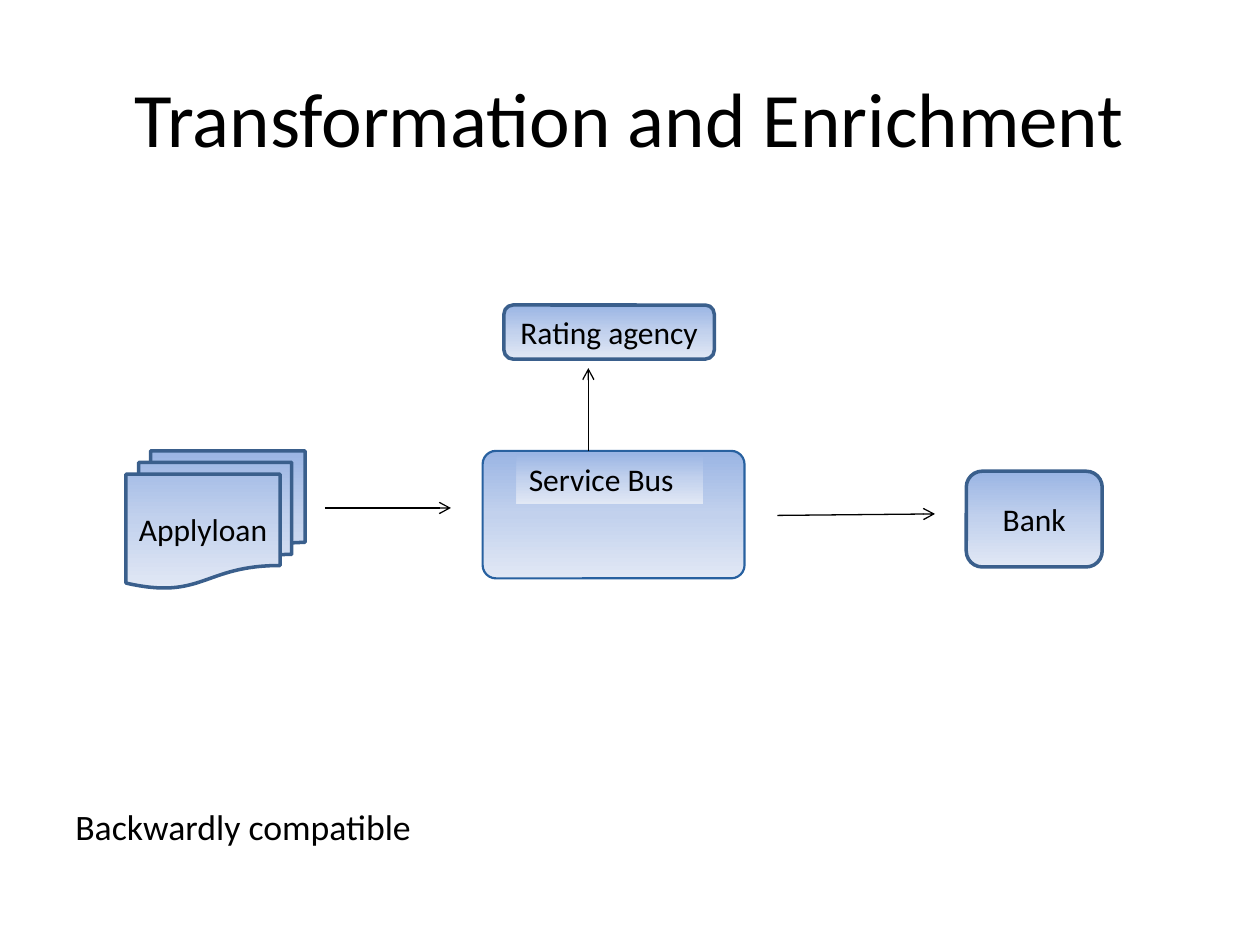
from copy import deepcopy
from dataclasses import dataclass

from lxml.etree import SubElement
from pptx import Presentation
from pptx.dml.color import RGBColor
from pptx.enum.shapes import MSO_CONNECTOR, MSO_SHAPE
from pptx.enum.text import MSO_ANCHOR, PP_ALIGN
from pptx.oxml.ns import qn
from pptx.util import Cm, Pt


@dataclass(frozen=True)
class Theme:
    font: str = "Calibri"
    ink: str = "000000"
    outline: str = "3A5F8C"
    bus_outline: str = "2861A0"
    gradient: tuple = ((0, "9AB5E4"), (0.5, "C2D1ED"), (1, "E1E8F5"))
    title: float = 44
    label: float = 18
    note: float = 20.4
    outline_width: float = 2
    bus_width: float = 1.25
    arrow_width: float = 0.75


THEME = Theme()


def set_all(obj, values):
    for name, value in values.items():
        setattr(obj, name, value)


def write(s, text, size, align=PP_ALIGN.CENTER, anchor=MSO_ANCHOR.MIDDLE):
    tf = s.text_frame
    set_all(tf, {"word_wrap": True, "vertical_anchor": anchor})
    p = tf.paragraphs[0]
    p.alignment = align
    r = p.add_run()
    r.text = text
    set_all(r.font, {"name": THEME.font, "size": Pt(size)})
    r.font.color.rgb = RGBColor.from_string(THEME.ink)


def fill_gradient(s):
    """Fill with the theme's stops, running from top to bottom."""
    s.fill.gradient()
    s.fill.gradient_angle = 270
    first = s.fill._fill._gradFill.find(qn("a:gsLst"))[0]
    first.addnext(deepcopy(first))
    for stop, (position, color) in zip(s.fill.gradient_stops, THEME.gradient):
        stop.position = position
        stop.color.rgb = RGBColor.from_string(color)


def add_box(shapes, kind, x, y, w, h, line=THEME.outline, width=THEME.outline_width):
    sp = shapes.add_shape(kind, Cm(x), Cm(y), Cm(w), Cm(h))
    sp.shadow.inherit = False
    fill_gradient(sp)
    if line:
        sp.line.color.rgb = RGBColor.from_string(line)
        sp.line.width = Pt(width)
    else:
        sp.line.fill.background()
    return sp


def add_arrow(shapes, x1, y1, x2, y2):
    c = shapes.add_connector(MSO_CONNECTOR.STRAIGHT, Cm(x1), Cm(y1), Cm(x2), Cm(y2))
    c.line.color.rgb = RGBColor.from_string(THEME.ink)
    c.line.width = Pt(THEME.arrow_width)
    SubElement(c.line._get_or_add_ln(), qn("a:tailEnd"), type="arrow")
    SubElement(c._element.spPr, qn("a:effectLst"))


def add_text(shapes, x, y, w, h, text, size, align):
    write(shapes.add_textbox(Cm(x), Cm(y), Cm(w), Cm(h)), text, size, align)


def add_service_bus(shapes, x, y, w, h):
    group = shapes.add_group_shape().shapes
    bus = add_box(group, MSO_SHAPE.ROUNDED_RECTANGLE, x, y, w, h,
                  THEME.bus_outline, THEME.bus_width)
    bus.adjustments[0] = 0.104
    label = add_box(group, MSO_SHAPE.RECTANGLE, x + 0.68, y + 0.05, 3.76, 1.02, line=None)
    write(label, "Service Bus", THEME.label, PP_ALIGN.LEFT, MSO_ANCHOR.TOP)


def add_flow(shapes, x, y):
    """Loan application, bus, rating agency and bank, joined by arrows."""
    add_service_bus(shapes, x + 7.19, y + 2.94, 5.28, 2.57)
    nodes = (
        ("Applyloan", MSO_SHAPE.FLOWCHART_MULTIDOCUMENT, 0, 2.94, 3.61, 2.77),
        ("Bank", MSO_SHAPE.ROUNDED_RECTANGLE, 16.94, 3.35, 2.74, 1.93),
        ("Rating agency", MSO_SHAPE.ROUNDED_RECTANGLE, 7.62, 0, 4.24, 1.09),
    )
    for text, kind, dx, dy, w, h in nodes:
        write(add_box(shapes, kind, x + dx, y + dy, w, h), text, THEME.label)
    arrows = (
        (4.01, 4.09, 6.55, 4.09),
        (13.13, 4.24, 16.31, 4.21),
        (9.32, 2.94, 9.32, 1.27),
    )
    for x1, y1, x2, y2 in arrows:
        add_arrow(shapes, x + x1, y + y1, x + x2, y + y2)


def main():
    prs = Presentation()
    set_all(prs, {"slide_width": Cm(25.4), "slide_height": Cm(19.05)})
    shapes = prs.slides.add_slide(prs.slide_layouts[6]).shapes
    add_text(shapes, 1.27, 0.76, 22.86, 3.18, "Transformation and Enrichment",
             THEME.title, PP_ALIGN.CENTER)
    add_flow(shapes, 2.54, 6.15)
    add_text(shapes, 1.27, 16.13, 22.86, 1.07, "Backwardly compatible",
             THEME.note, PP_ALIGN.LEFT)
    prs.save("out.pptx")


if __name__ == "__main__":
    main()
